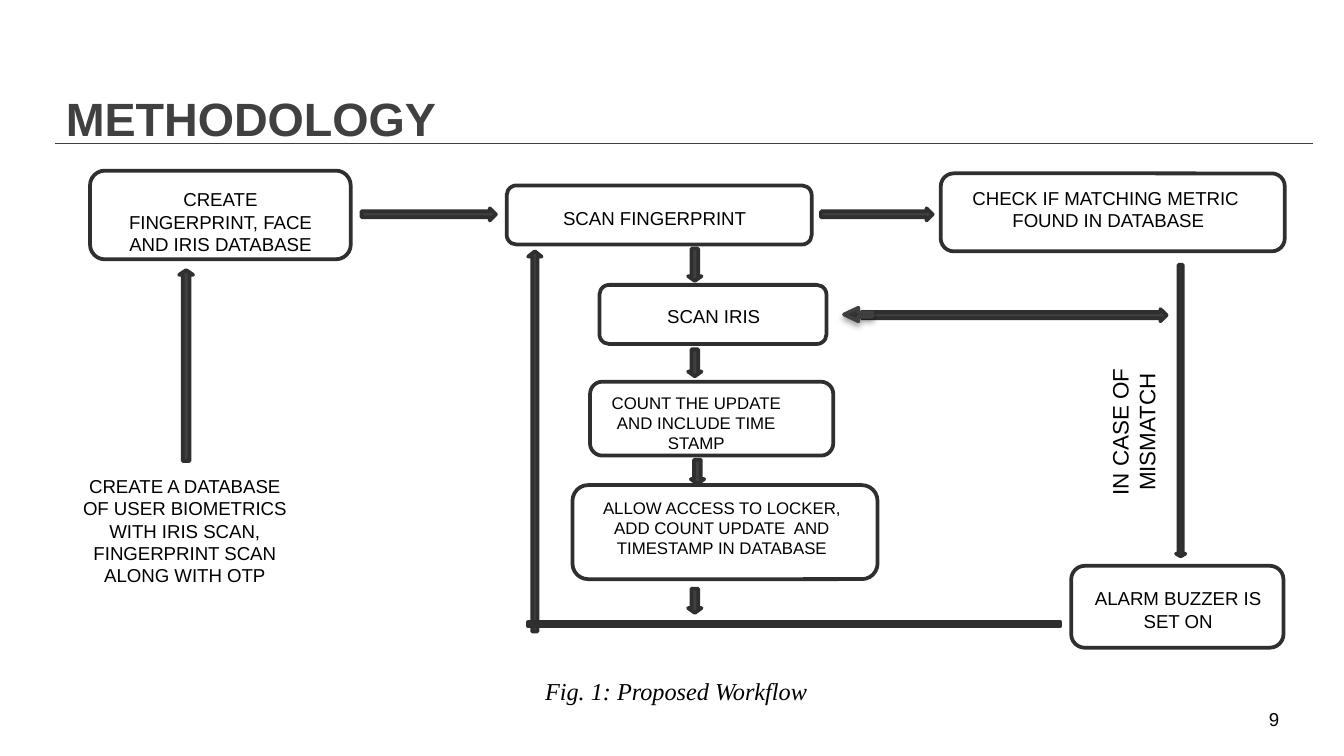
import pptx
import pptx.util
import pptx.dml.color
import pptx.enum.shapes
import pptx.enum.text
import pptx.oxml
import pptx.oxml.ns

RGBColor = pptx.dml.color.RGBColor
Shapes = pptx.enum.shapes.MSO_SHAPE
Align = pptx.enum.text.PP_ALIGN

BLACK = RGBColor(0x00, 0x00, 0x00)
WHITE = RGBColor(0xFF, 0xFF, 0xFF)
OUTLINE = RGBColor(0x2F, 0x2F, 0x2F)
RULE = RGBColor(0x3F, 0x3F, 0x3F)
ARROW = RGBColor(0x40, 0x40, 0x40)
ARROW_TIP = RGBColor(0x33, 0x33, 0x33)

# Grid of 100 columns by 56.25 rows (16:9); every cell is a tenth of an inch square
COLUMNS, ROWS = 100, 56.25
CELL = pptx.util.Inches(0.1)

# Workflow steps: text, font size, box area, text area (column, row, width, height)
STEPS = [
    ("CREATE FINGERPRINT, FACE AND IRIS DATABASE", 10,
     (6.7, 12.7, 19.4, 6.6), (8.4, 13.6, 16, 5.9)),
    ("SCAN FINGERPRINT", 10, (37.7, 13.8, 22.7, 4.4), (40.7, 15, 16, 2.5)),
    ("CHECK IF MATCHING METRIC  FOUND IN DATABASE", 10,
     (70, 12.9, 25.6, 5.8), (71.7, 13.5, 21.5, 4.2)),
    ("ALARM BUZZER IS SET ON", 10, (79.7, 42.1, 15.8, 6.1), (80.2, 43.3, 14.9, 4.2)),
    ("SCAN IRIS", 10, (44.6, 21.2, 16.9, 4.4), (45.1, 22.3, 16, 2.5)),
    ("COUNT THE UPDATE AND INCLUDE TIME STAMP", 9,
     (43.9, 28.4, 18.1, 5.5), (45, 28.8, 13.6, 5.4)),
    ("ALLOW ACCESS TO LOCKER, ADD COUNT UPDATE  AND TIMESTAMP IN DATABASE", 9,
     (42.6, 36.1, 22.7, 7), (43.7, 36.6, 20, 5.4)),
]

# Arrows to the right: column, row, width, height
RIGHT_ARROWS = [(26.9, 15.5, 10, 0.9), (61.1, 15.5, 8.3, 0.9), (64.1, 23, 22.7, 0.9)]

# Vertical arrows: centre column, tail row, tip row, half head, half shaft, head length
VERTICAL_ARROWS = [
    (51.7, 18.5, 20.9, 0.5, 0.25, 0.35),
    (51.7, 26, 28, 0.5, 0.25, 0.35),
    (51.9, 34.2, 36, 0.5, 0.25, 0.35),
    (51.7, 43.8, 45.6, 0.5, 0.25, 0.35),
    (87.85, 19.7, 41.4, 0.35, 0.15, 0.2),
    (39.8, 47, 18.7, 0.5, 0.2, 0.4),
    (13.85, 34.3, 20.1, 0.52, 0.25, 0.35),
]


def cells(*lengths):
    return [round(length * CELL) for length in lengths]


def set_attributes(target, values):
    for name, value in values.items():
        setattr(target, name, value)


def paint(shape, fill, line):
    shape.shadow.inherit = False
    shape.fill.solid()
    shape.fill.fore_color.rgb = fill
    shape.line.color.rgb = line
    shape.line.width = pptx.util.Pt(2)


def add_block(slide, kind, area, fill=ARROW, line=OUTLINE):
    shape = slide.shapes.add_shape(kind, *cells(*area))
    paint(shape, fill, line)
    return shape


def add_text(slide, text, area, size, align=Align.CENTER, inset=0.4, top=0.4,
             color=BLACK, rotation=0, **font):
    box = slide.shapes.add_textbox(*cells(*area))
    box.rotation = rotation
    side, upper = cells(inset, top)
    set_attributes(box.text_frame, {
        "word_wrap": True, "margin_left": side, "margin_right": side,
        "margin_top": upper, "margin_bottom": side,
        "vertical_anchor": pptx.enum.text.MSO_ANCHOR.TOP})
    paragraph = box.text_frame.paragraphs[0]
    paragraph.alignment = align
    run = paragraph.add_run()
    run.text = text
    set_attributes(run.font, {"name": "Arial", "size": pptx.util.Pt(size), **font})
    run.font.color.rgb = color


def add_vertical_arrow(slide, centre, tail, tip, head, shaft, length):
    neck = tip - length if tip > tail else tip + length
    points = [(-head, neck), (-shaft, neck), (-shaft, tail), (shaft, tail),
              (shaft, neck), (head, neck), (0, tip)]
    outline = [tuple(cells(centre + offset, row)) for offset, row in points]
    builder = slide.shapes.build_freeform(*outline[0])
    builder.add_line_segments(outline[1:], close=True)
    paint(builder.convert_to_shape(), ARROW, OUTLINE)


def add_rule(slide, left, right, row):
    rule = slide.shapes.add_connector(
        pptx.enum.shapes.MSO_CONNECTOR.STRAIGHT, *cells(left, row, right, row))
    rule.line.color.rgb = RULE
    rule.line.width = pptx.util.Pt(0.75)
    rule._element.spPr.append(pptx.oxml.parse_xml(
        f"<a:effectLst {pptx.oxml.ns.nsdecls('a')}/>"))


def add_soft_shadow(shape):
    effects = shape._element.spPr.find(pptx.oxml.ns.qn("a:effectLst"))
    effects.append(pptx.oxml.parse_xml(
        f"<a:outerShdw {pptx.oxml.ns.nsdecls('a')} blurRad='38100' dist='22860' "
        "dir='5400000' rotWithShape='0'><a:srgbClr val='000000'>"
        "<a:alpha val='35000'/></a:srgbClr></a:outerShdw>"))


def main():
    presentation = pptx.Presentation()
    width, height = cells(COLUMNS, ROWS)
    set_attributes(presentation, {"slide_width": width, "slide_height": height})
    slide = presentation.slides.add_slide(presentation.slide_layouts[6])

    # Heading, caption and page number
    add_text(slide, "METHODOLOGY", (4.1, 5.9, 94, 4.8), 25, Align.LEFT,
             inset=0.8, top=0.8, color=ARROW, bold=True)
    add_rule(slide, 4.1, 97.7, 10.7)
    add_text(slide, "9", (94, 52.3, 3.2, 2), 10, Align.LEFT)
    add_text(slide, "Fig. 1: Proposed Workflow", (2.1, 49.9, 96.4, 3), 13,
             name="Times New Roman", italic=True)

    # Workflow steps
    for text, size, box_area, text_area in STEPS:
        add_block(slide, Shapes.ROUNDED_RECTANGLE, box_area, WHITE)
        add_text(slide, text, text_area, size)

    # Labels without a box
    add_text(slide, "CREATE A DATABASE OF USER BIOMETRICS WITH IRIS SCAN, "
             "FINGERPRINT SCAN ALONG WITH OTP", (5.6, 34.9, 16.3, 8.5), 10)
    add_text(slide, "IN CASE OF MISMATCH", (79.1, 29.7, 10.5, 4.9), 12, rotation=270)

    # Arrows and the return bar
    for arrow in VERTICAL_ARROWS:
        add_vertical_arrow(slide, *arrow)
    add_block(slide, Shapes.RECTANGLE, (39.3, 46.3, 39.6, 0.3))
    for area in RIGHT_ARROWS:
        add_block(slide, Shapes.RIGHT_ARROW, area)

    # Left tip of the two-way arrow
    tip = add_block(slide, Shapes.RIGHT_ARROW, (62.8, 22.9, 2.1, 1), ARROW_TIP, ARROW)
    tip.rotation = 180
    tip.adjustments[0] = 0.32
    tip.adjustments[1] = 1.06
    add_soft_shadow(tip)

    presentation.save("out.pptx")


if __name__ == "__main__":
    main()
